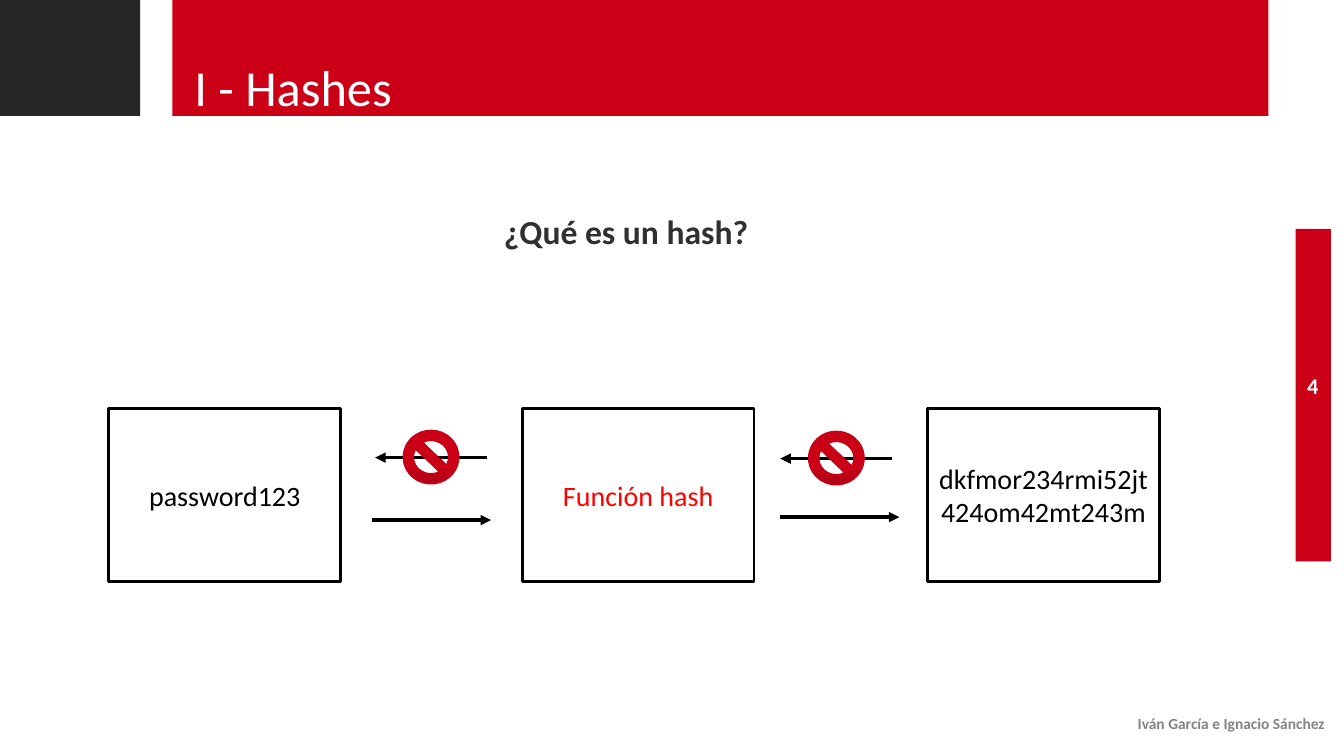
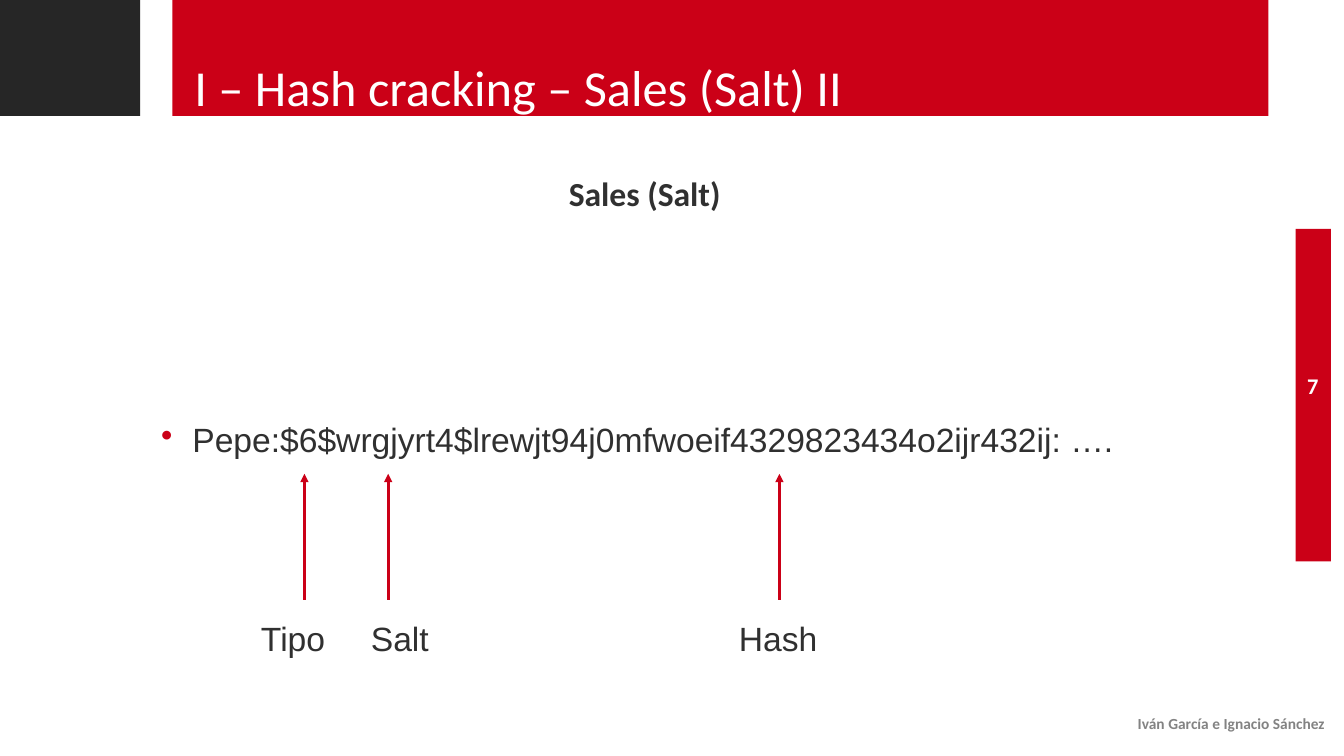
from dataclasses import dataclass

from pptx import Presentation
from pptx.dml.color import RGBColor
from pptx.enum import shapes, text
from pptx.oxml.xmlchemy import OxmlElement
from pptx.util import Inches, Pt

RED, DARK, WHITE, BLACK = "CB0017", "262626", "FFFFFF", "000000"
BODY, GREY, ALERT = "303030", "838383", "FF0000"
SIGN_EDGE, SIGN_SHADE = "C70016", "AE0014"
AUTHORS = "Iván García e Ignacio Sánchez"
LEFT, CENTER, RIGHT = text.PP_ALIGN.LEFT, text.PP_ALIGN.CENTER, text.PP_ALIGN.RIGHT
TOP, MIDDLE, BOTTOM = text.MSO_ANCHOR.TOP, text.MSO_ANCHOR.MIDDLE, text.MSO_ANCHOR.BOTTOM


@dataclass(frozen=True)
class Area:
    left: float
    top: float
    width: float
    height: float

    def lengths(self) -> list:
        return [Inches(v) for v in (self.left, self.top, self.width, self.height)]


@dataclass(frozen=True)
class Style:
    size: int
    color: str
    font: str = "Calibri"
    bold: bool = False
    align: text.PP_ALIGN = LEFT
    anchor: text.MSO_ANCHOR = TOP


@dataclass(frozen=True)
class Stage:
    left: float
    label: str
    color: str = BLACK


@dataclass(frozen=True)
class Exchange:
    """Arrows between two stages: one forward, one crossed out."""
    forward_left: float
    forward_y: float
    back_left: float
    back_y: float


@dataclass(frozen=True)
class HashPart:
    label: str
    arrow_x: float
    label_left: float


TITLE = Style(36, WHITE, anchor=BOTTOM)
HEADING = Style(24, BODY, bold=True, align=CENTER)
NUMBER = Style(16, WHITE, bold=True, align=CENTER, anchor=MIDDLE)
FOOTER = Style(11, GREY, bold=True, align=RIGHT, anchor=MIDDLE)
CONTENT = Style(24, BODY, font="Arial")

STAGES = [
    Stage(1.08, "password123"),
    Stage(5.18, "Función hash", ALERT),
    Stage(9.2, "dkfmor234rmi52jt424om42mt243m"),
]
EXCHANGES = [Exchange(3.69, 5.16, 3.72, 4.54), Exchange(7.74, 5.13, 7.74, 4.55)]
HASH_PARTS = [
    HashPart("Tipo", 3.02, 2.49),
    HashPart("Salt", 3.85, 3.58),
    HashPart("Hash", 7.73, 7.23),
]


def rgb(color: str) -> RGBColor:
    return RGBColor.from_string(color)


def write(frame, words: str, style: Style):
    frame.word_wrap = True
    frame.vertical_anchor = style.anchor
    paragraph = frame.paragraphs[0]
    paragraph.alignment = style.align
    run = paragraph.add_run()
    run.text = words
    run.font.name = style.font
    run.font.size = Pt(style.size)
    run.font.bold = style.bold
    run.font.color.rgb = rgb(style.color)
    return paragraph


def add_text(slide, area: Area, words: str, style: Style):
    return write(slide.shapes.add_textbox(*area.lengths()).text_frame, words, style)


def add_rectangle(slide, area: Area, fill: str):
    rectangle = slide.shapes.add_shape(shapes.MSO_SHAPE.RECTANGLE, *area.lengths())
    rectangle.shadow.inherit = False
    rectangle.fill.solid()
    rectangle.fill.fore_color.rgb = rgb(fill)
    rectangle.line.fill.background()
    return rectangle


def add_arrow(slide, start: tuple[float, float], end: tuple[float, float],
              color: str, width: float) -> None:
    arrow = slide.shapes.add_connector(
        shapes.MSO_CONNECTOR.STRAIGHT, *(Inches(v) for v in start + end))
    arrow.line.color.rgb = rgb(color)
    arrow.line.width = Pt(width)
    head = OxmlElement("a:tailEnd")
    head.set("type", "triangle")
    arrow.line._get_or_add_ln().append(head)
    arrow._element.spPr.append(OxmlElement("a:effectLst"))


def add_bullet(paragraph, indent: float) -> None:
    properties = paragraph._p.get_or_add_pPr()
    properties.set("marL", str(Inches(indent)))
    properties.set("indent", str(-Inches(indent)))
    bullet_color = OxmlElement("a:buClr")
    value = OxmlElement("a:srgbClr")
    value.set("val", RED)
    bullet_color.append(value)
    bullet = OxmlElement("a:buChar")
    bullet.set("char", "•")
    properties.extend([bullet_color, bullet])


def add_stage(slide, stage: Stage) -> None:
    box = add_rectangle(slide, Area(stage.left, 4.05, 2.3, 1.72), WHITE)
    box.line.color.rgb = rgb(BLACK)
    box.line.width = Pt(2)
    write(box.text_frame, stage.label,
          Style(20, stage.color, align=CENTER, anchor=MIDDLE))


def add_no_entry(slide, area: Area) -> None:
    sign = slide.shapes.add_shape(shapes.MSO_SHAPE.NO_SYMBOL, *area.lengths())
    sign.shadow.inherit = False
    sign.fill.gradient()
    sign.fill.gradient_angle = 90
    for stop, position, color in zip(sign.fill.gradient_stops, (0, 0.35), (SIGN_SHADE, RED)):
        stop.position = position
        stop.color.rgb = rgb(color)
    sign.line.color.rgb = rgb(SIGN_EDGE)
    sign.line.width = Pt(1)


def add_exchange(slide, exchange: Exchange) -> None:
    left, y = exchange.forward_left, exchange.forward_y
    add_arrow(slide, (left, y), (left + 1.18, y), BLACK, 2.5)
    left, y = exchange.back_left, exchange.back_y
    add_arrow(slide, (left + 1.11, y), (left, y), BLACK, 2.5)
    add_no_entry(slide, Area(left + 0.28, y - 0.27, 0.55, 0.53))


def add_framed_slide(deck, title: str, number: int):
    """Add a slide with the bands, title, number and footer all slides share."""
    slide = deck.slides.add_slide(deck.slide_layouts[6])
    add_rectangle(slide, Area(12.85, 2.27, 0.35, 3.3), RED)
    add_rectangle(slide, Area(1.71, 0, 10.87, 1.15), RED)
    add_rectangle(slide, Area(0, 0, 1.39, 1.15), DARK)
    add_text(slide, Area(12.65, 3.63, 0.74, 0.4), str(number), NUMBER)
    add_text(slide, Area(4.48, 6.98, 8.76, 0.4), AUTHORS, FOOTER)
    add_text(slide, Area(1.83, 0.06, 10.36, 1.15), title, TITLE).line_spacing = Pt(36)
    return slide


def add_hash_slide(deck) -> None:
    slide = add_framed_slide(deck, "I - Hashes", 4)
    add_text(slide, Area(3.71, 2.04, 5, 0.86), "¿Qué es un hash?", HEADING)
    for stage in STAGES:
        add_stage(slide, stage)
    for exchange in EXCHANGES:
        add_exchange(slide, exchange)


def add_salt_slide(deck) -> None:
    slide = add_framed_slide(deck, "I – Hash cracking – Sales (Salt) II", 7)
    add_text(slide, Area(4.06, 1.67, 4.67, 0.53), "Sales (Salt)", HEADING)
    entry = add_text(slide, Area(1.5, 4.11, 10.34, 1.43),
                     "Pepe:$6$wrgjyrt4$lrewjt94j0mfwoeif4329823434o2ijr432ij: ….", CONTENT)
    add_bullet(entry, 0.31)
    for part in HASH_PARTS:
        add_arrow(slide, (part.arrow_x, 5.95), (part.arrow_x, 4.7), RED, 2)
        add_text(slide, Area(part.label_left, 6.08, 1.08, 0.5), part.label, CONTENT)


def main() -> None:
    deck = Presentation()
    deck.slide_width, deck.slide_height = Inches(13.33), Inches(7.5)
    add_hash_slide(deck)
    add_salt_slide(deck)
    deck.save("out.pptx")


if __name__ == "__main__":
    main()
